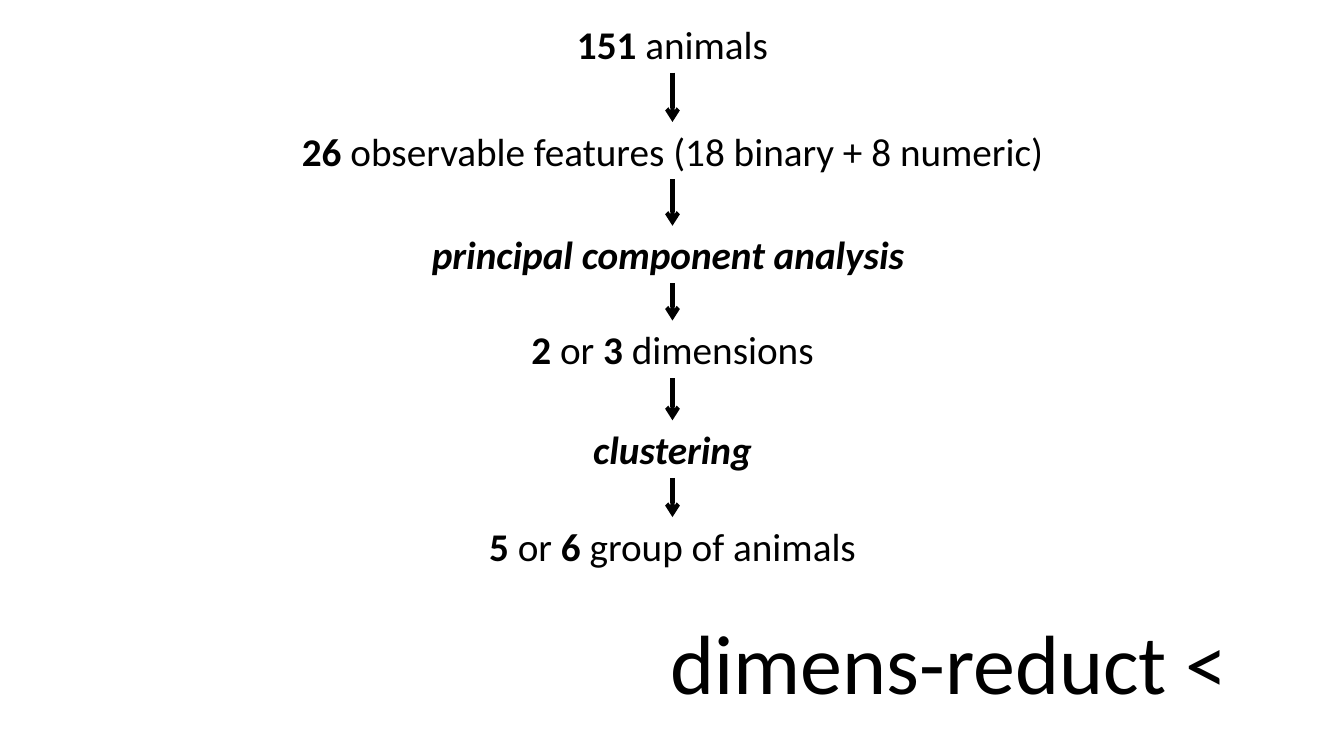
"""Builds a one-slide flow from observations through analysis to groups."""
from lxml.etree import SubElement
from pptx import Presentation
from pptx.dml.color import RGBColor
from pptx.enum.shapes import MSO_CONNECTOR as Connector
from pptx.enum.text import MSO_ANCHOR as Anchor, PP_ALIGN as Align
from pptx.oxml.ns import qn
from pptx.util import Inches, Pt

BOLD = {"bold": True}
PLAIN = {"bold": False}
METHOD = {"bold": True, "italic": True}
STEPS = [
    (0.15, 2.92, [("151 ", BOLD), ("animals", PLAIN)]),
    (1.21, 7.95, [("26", BOLD),
                  (" observable features (18 binary + 8 numeric)", PLAIN)]),
    (2.24, 5.63, [("principal component analysis ", METHOD)]),
    (3.18, 3.65, [("2 ", BOLD), ("or", PLAIN), (" 3", BOLD),
                  (" dimensions", PLAIN)]),
    (4.17, 2.58, [("clustering", METHOD)]),
    (5.13, 6.26, [("5", BOLD), (" or ", PLAIN), ("6", BOLD),
                  (" group of animals", PLAIN)]),
]
TITLE = [("dimens-reduct <", PLAIN)]
TITLE_AREA = (3.41, 6.12, 8.87, 0.8)
INK = "000000"
CENTER = 6.67
STEP_HEIGHT = 0.57


def color(value):
    return RGBColor.from_string(value)


def add_text(page, area, spans, size, align, spacing=1.0):
    box = page.shapes.add_textbox(*map(Inches, area))
    box.text_frame.word_wrap = True
    box.text_frame.vertical_anchor = Anchor.TOP
    para = box.text_frame.paragraphs[0]
    para.alignment = align
    para.line_spacing = spacing
    for words, style in spans:
        span = para.add_run()
        span.text = words
        span.font.color.rgb = color(INK)
        formats = {"name": "Calibri", "size": Pt(size), **style}
        for name, value in formats.items():
            setattr(span.font, name, value)


def add_arrow(page, top, bottom):
    points = map(Inches, (CENTER, top, CENTER, bottom))
    arrow = page.shapes.add_connector(Connector.STRAIGHT, *points)
    arrow.line.color.rgb = color(INK)
    arrow.line.width = Pt(3)
    SubElement(arrow.line._get_or_add_ln(), qn("a:tailEnd"), type="arrow")
    SubElement(arrow._element.spPr, qn("a:effectLst"))


def main():
    deck = Presentation()
    deck.slide_width, deck.slide_height = Inches(13.33), Inches(7.5)
    page = deck.slides.add_slide(deck.slide_layouts[6])
    add_text(page, TITLE_AREA, TITLE, 60, Align.RIGHT, 0.9)
    for top, width, spans in STEPS:
        area = (CENTER - width / 2, top, width, STEP_HEIGHT)
        add_text(page, area, spans, 28, Align.CENTER)
    for step, following in zip(STEPS, STEPS[1:]):
        add_arrow(page, step[0] + STEP_HEIGHT, following[0])
    deck.save("out.pptx")


if __name__ == "__main__":
    main()
